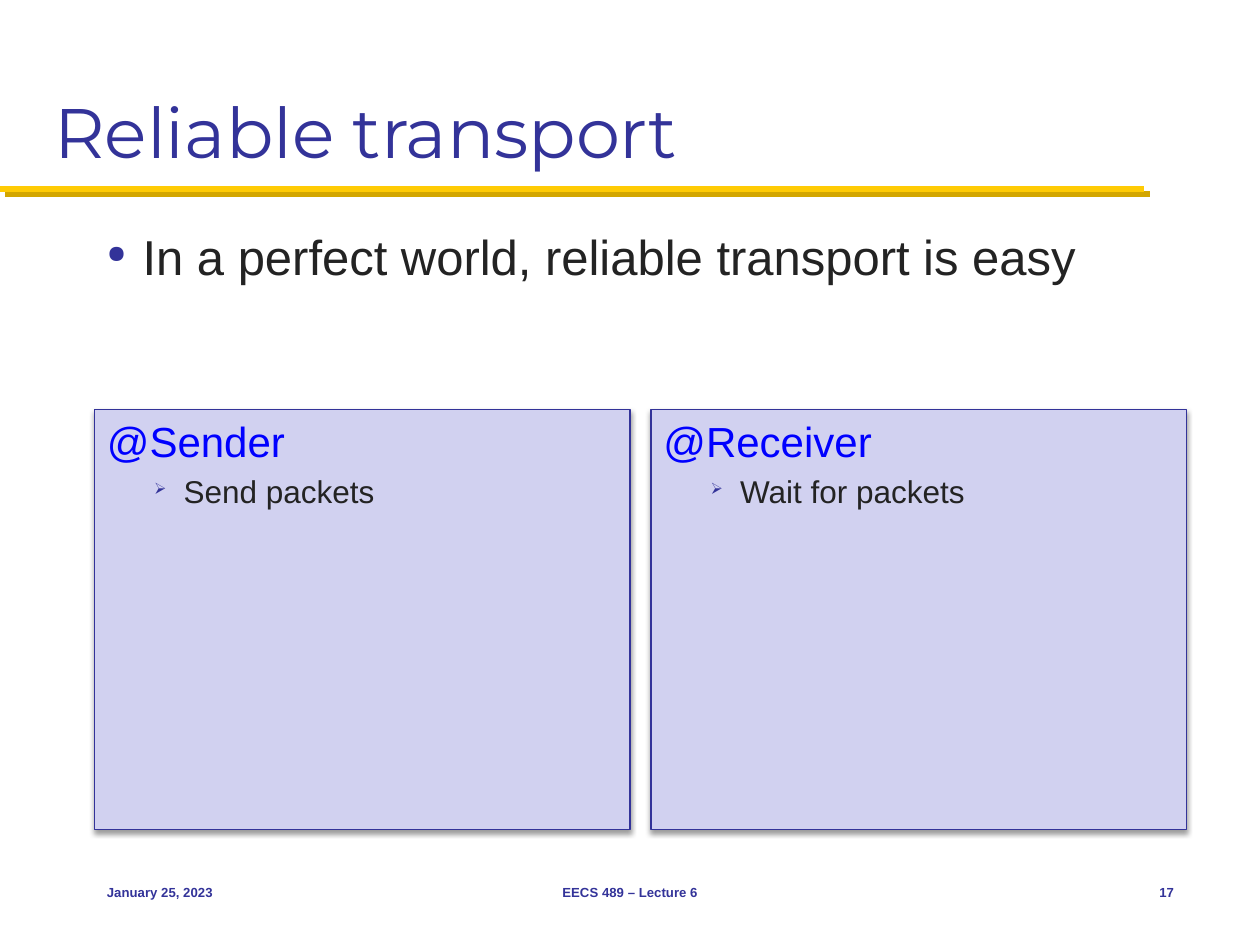
from lxml import etree
from pptx import Presentation
from pptx.dml.color import RGBColor
from pptx.enum.shapes import MSO_CONNECTOR, MSO_SHAPE
from pptx.enum.text import MSO_ANCHOR, PP_ALIGN
from pptx.oxml.ns import qn
from pptx.util import Pt

PX = 7620
STRAIGHT = MSO_CONNECTOR.STRAIGHT
RECTANGLE = MSO_SHAPE.RECTANGLE
TOP, MIDDLE, BOTTOM = MSO_ANCHOR.TOP, MSO_ANCHOR.MIDDLE, MSO_ANCHOR.BOTTOM
LEFT, CENTER, RIGHT = PP_ALIGN.LEFT, PP_ALIGN.CENTER, PP_ALIGN.RIGHT
COLORS = {
    "navy": "333399",
    "body": "232323",
    "heading": "0000FF",
    "panel": "D1D1F0",
    "gold": "FFCB05",
    "dark_gold": "D3A600",
    "black": "000000",
}


def color(name):
    return RGBColor.from_string(COLORS[name])


def px(*lengths):
    return [length * PX for length in lengths]


def add_element(parent, tag, **attributes):
    values = {key: str(value) for key, value in attributes.items()}
    return etree.SubElement(parent, qn(tag), values)


def add_shadow(shape, color_name, opacity, blur, distance, angle):
    effects = add_element(shape._element.spPr, "a:effectLst")
    shadow = add_element(effects, "a:outerShdw", blurRad=Pt(blur), dist=Pt(distance),
                         dir=angle * 60000, algn="ctr", rotWithShape=0)
    shade = add_element(shadow, "a:srgbClr", val=COLORS[color_name])
    add_element(shade, "a:alpha", val=opacity * 1000)


def write(paragraph, text, size, color_name, font="Arial", bold=False, align=LEFT,
          space_percent=0, bullet=None, margin=0, hanging=0):
    paragraph.alignment = align
    run = paragraph.add_run()
    run.text = text
    run.font.name = font
    run.font.size = Pt(size)
    run.font.bold = bold
    run.font.color.rgb = color(color_name)
    properties = paragraph._p.get_or_add_pPr()
    if space_percent:
        spacing = add_element(properties, "a:spcBef")
        add_element(spacing, "a:spcPct", val=space_percent * 1000)
    if bullet:
        properties.set("marL", str(margin * PX))
        properties.set("indent", str(-hanging * PX))
        bullet_color = add_element(properties, "a:buClr")
        add_element(bullet_color, "a:srgbClr", val=COLORS["navy"])
        add_element(properties, "a:buSzPct", val=50000)
        add_element(properties, "a:buChar", char=bullet)


def add_text(slide, box, text, anchor=TOP, wrap=True, **text_format):
    frame = slide.shapes.add_textbox(*px(*box)).text_frame
    frame.word_wrap = wrap
    frame.vertical_anchor = anchor
    write(frame.paragraphs[0], text, **text_format)


def add_title_rule(slide):
    rule = slide.shapes.add_connector(STRAIGHT, *px(0, 180, 1090, 180))
    rule.line.color.rgb = color("gold")
    rule.line.width = Pt(3.5)
    add_shadow(rule, "dark_gold", opacity=100, blur=0, distance=4.2, angle=45)


def add_panel(slide, left, heading, step):
    panel = slide.shapes.add_shape(RECTANGLE, *px(left, 390, 510, 400))
    panel.fill.solid()
    panel.fill.fore_color.rgb = color("panel")
    panel.line.color.rgb = color("navy")
    panel.line.width = Pt(0.75)
    add_shadow(panel, "black", opacity=38, blur=3.1, distance=1.6, angle=90)
    frame = panel.text_frame
    frame.word_wrap = True
    frame.vertical_anchor = TOP
    write(frame.paragraphs[0], heading, 24, "heading", space_percent=20)
    item = frame.add_paragraph()
    item.level = 1
    write(item, step, 18, "body", space_percent=20, bullet="➢", margin=73, hanging=28)


def add_footer(slide, left, width, text, align):
    add_text(slide, (left, 820, width, 60), text, anchor=MIDDLE, wrap=True,
             size=7.5, color_name="navy", bold=True, align=align)


def main():
    presentation = Presentation()
    presentation.slide_width, presentation.slide_height = px(1200, 900)
    slide = presentation.slides.add_slide(presentation.slide_layouts[6])
    add_title_rule(slide)
    add_text(slide, (40, 20, 1120, 150), "Reliable transport", anchor=BOTTOM,
             size=40, color_name="navy", font="Montserrat")
    add_panel(slide, 90, "@Sender", "Send packets")
    add_panel(slide, 620, "@Receiver", "Wait for packets")
    add_text(slide, (90, 210, 1040, 100), "In a perfect world, reliable transport is easy",
             size=28, color_name="body", space_percent=20, bullet="●", margin=34, hanging=34)
    add_footer(slide, 90, 250, "January 25, 2023", LEFT)
    add_footer(slide, 410, 380, "EECS 489 – Lecture 6", CENTER)
    add_footer(slide, 1050, 80, "17", RIGHT)
    presentation.save("out.pptx")


if __name__ == "__main__":
    main()
